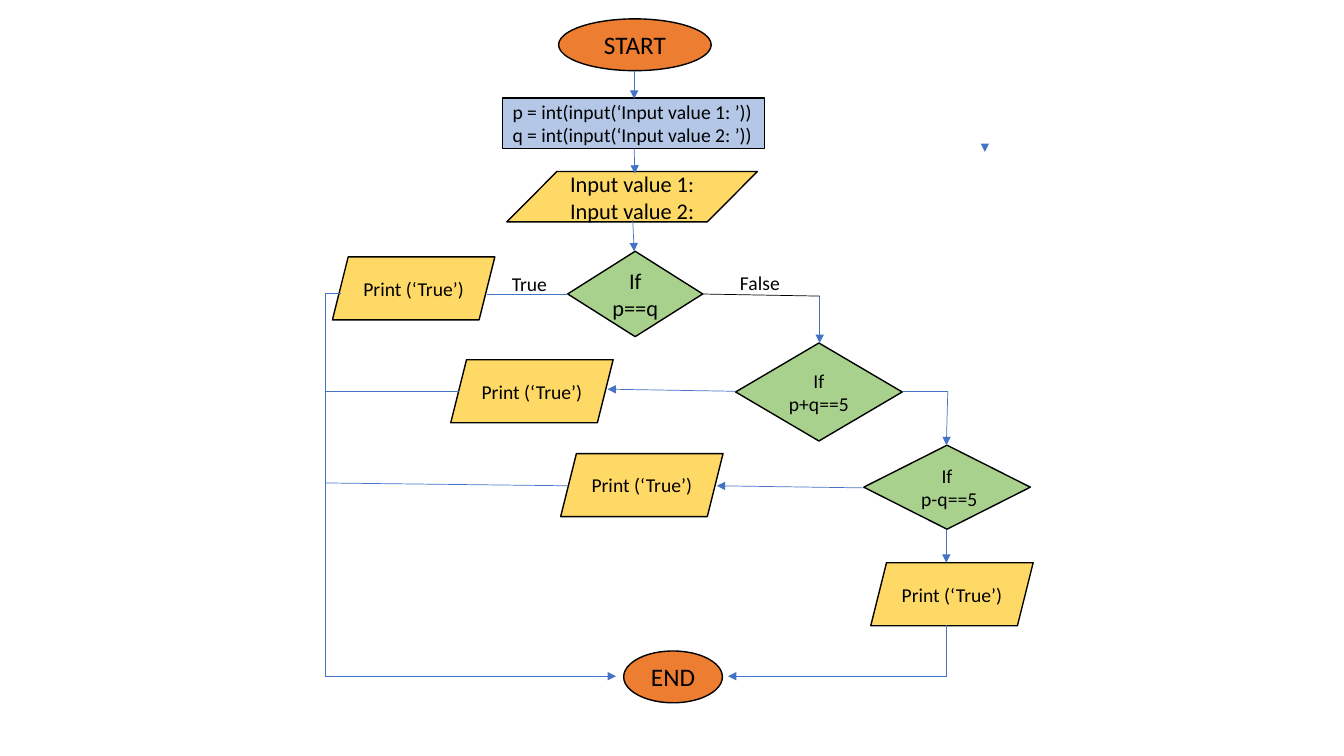
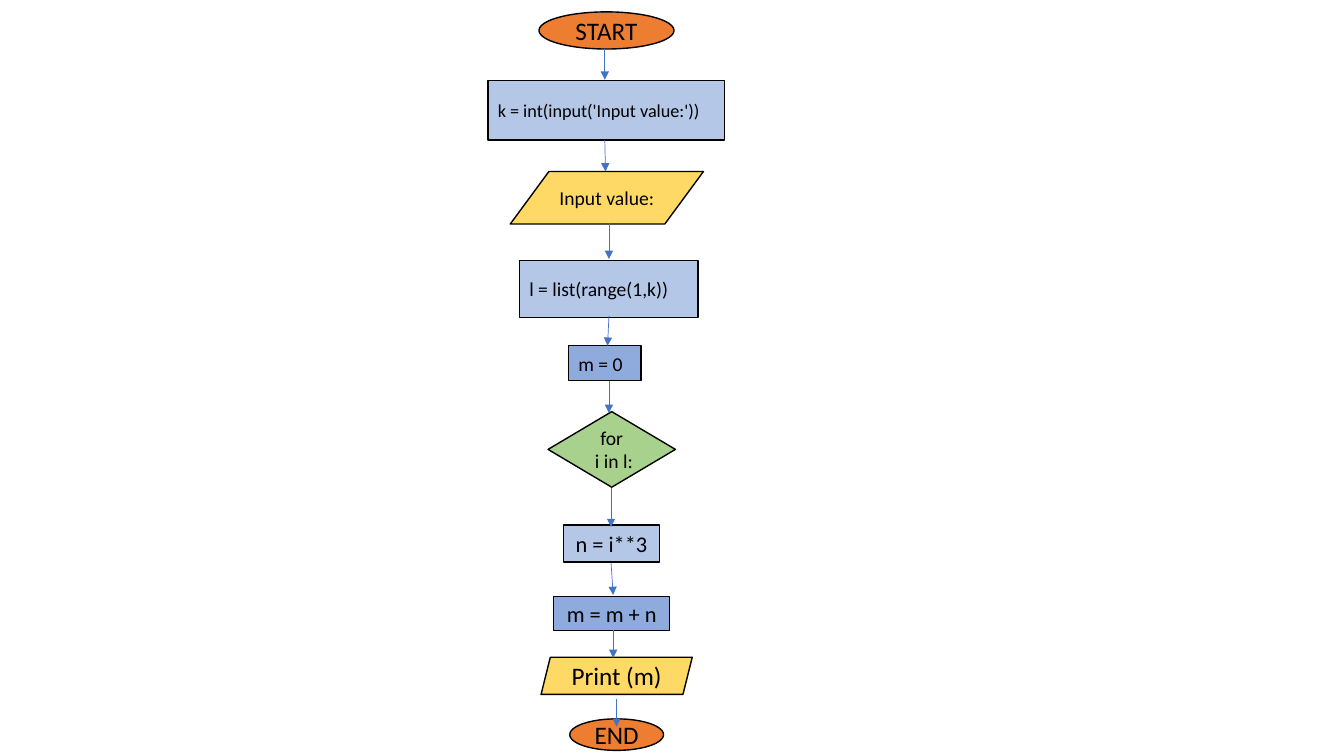
"""Build two flowchart slides for small Python programs."""
import pptx
import pptx.dml.color
import pptx.enum.shapes
import pptx.enum.text
import pptx.oxml.ns
import pptx.oxml.xmlchemy
import pptx.util

Pt = pptx.util.Pt
RGBColor = pptx.dml.color.RGBColor
SHAPE = pptx.enum.shapes.MSO_SHAPE
CONNECTOR = pptx.enum.shapes.MSO_CONNECTOR
ALIGN = pptx.enum.text.PP_ALIGN
ANCHOR = pptx.enum.text.MSO_ANCHOR

FONT = "Calibri"
BLACK = RGBColor(0x00, 0x00, 0x00)
BLUE = RGBColor(0x44, 0x72, 0xC4)
ORANGE = RGBColor(0xED, 0x7D, 0x31)
YELLOW = RGBColor(0xFF, 0xD9, 0x66)
GREEN = RGBColor(0xA9, 0xD1, 0x8E)
PALE_BLUE = RGBColor(0xB4, 0xC7, 0xE7)
MID_BLUE = RGBColor(0x8F, 0xAA, 0xDC)

STYLES = {
    "terminal": (SHAPE.OVAL, ORANGE, ALIGN.CENTER),
    "input": (SHAPE.FLOWCHART_DATA, YELLOW, ALIGN.CENTER),
    "print": (SHAPE.PARALLELOGRAM, YELLOW, ALIGN.CENTER),
    "decision": (SHAPE.DIAMOND, GREEN, ALIGN.CENTER),
    "code": (SHAPE.RECTANGLE, PALE_BLUE, ALIGN.LEFT),
    "sum": (SHAPE.RECTANGLE, MID_BLUE, ALIGN.CENTER),
    "power": (SHAPE.RECTANGLE, PALE_BLUE, ALIGN.CENTER),
    "reset": (SHAPE.RECTANGLE, MID_BLUE, ALIGN.LEFT),
}

PRINT_CORNERS = [(237.5, 183.5), (322, 257), (400.5, 324), (622, 402)]

COMPARISON = {
    "steps": [
        ("code", (359, 70, 187, 36), 14,
         "p = int(input(‘Input value 1: ’))\nq = int(input(‘Input value 2: ’))"),
        ("terminal", (399, 13.5, 109, 37), 18, "START"),
        ("input", (362, 122.5, 179, 36), 16, "Input value 1:\nInput value 2:"),
        ("decision", (405.5, 179.5, 96.5, 61), 16, "If p==q"),
        ("decision", (525.5, 245, 119, 70), 14, "If p+q==5"),
        ("decision", (617, 318, 119, 60), 14, "If\n p-q==5"),
        ("terminal", (445.5, 465, 70.5, 37), 18, "END"),
    ] + [("print", (left, top, 116, 45), 14, "Print (‘True’)")
         for left, top in PRINT_CORNERS],
    "labels": [
        ((521.5, 190, 60.5, 24.5), 14, "False"),
        ((358.5, 191, 44.5, 24.5), 14, "True"),
    ],
    "arrows": [
        (453, 50.5, 453, 70.5),
        (453, 106, 453.5, 124),
        (452, 157, 453, 179.5),
        (585.5, 211.5, 585.5, 245),
        (677, 279.5, 676, 318),
        (703.5, 106, 703.5, 108.5),
        (525.5, 279.5, 434, 278),
        (617, 348.5, 512, 347),
        (676, 378.5, 676, 402),
        (232.5, 483, 440, 483),
    ],
    "lines": [
        (645, 279.5, 677, 279.5, BLUE),
        (501, 210, 585.5, 211.5, BLACK),
        (405.5, 210, 348, 210, BLUE),
        (328, 279.5, 232.5, 279.5, BLUE),
        (406, 347, 232.5, 345, BLUE),
    ],
    "elbows": [
        (520, 483, 676, 446.5, "headEnd"),
        (243.5, 209.5, 232.5, 483, None),
    ],
}

CUBES = {
    "steps": [
        ("code", (348.5, 57.5, 169, 42.5), 13, "k = int(input('Input value:'))"),
        ("terminal", (385, 8.5, 96.5, 26.5), 18, "START"),
        ("input", (364.5, 122.5, 138, 37.5), 14, "Input value:"),
        ("power", (402.5, 375, 68.5, 26.5), 16, "n = i**3"),
        ("code", (371, 186, 127.5, 41), 14, "l = list(range(1,k))"),
        ("reset", (406, 247, 52, 25), 14, "m = 0"),
        ("decision", (391.5, 294, 91, 54), 14, "for\n i in l:"),
        ("sum", (395.5, 426, 83, 24.5), 16, "m = m + n"),
        ("terminal", (407, 513.5, 67, 22.5), 18, "END"),
        ("print", (386.5, 469.5, 108, 26.5), 18, "Print (m)"),
    ],
    "labels": [],
    "arrows": [
        (432, 35, 432, 57),
        (432, 100, 432.5, 122.5),
        (435, 159, 435, 185),
        (435, 225.5, 434, 247),
        (435, 272, 435, 295),
        (436.5, 348.5, 436.5, 376.5),
        (436.5, 402, 438, 425),
        (438, 450, 438, 470),
        (440.5, 499, 440.5, 519),
    ],
    "lines": [],
    "elbows": [],
}


def write_text(shape, text, size, alignment):
    frame = shape.text_frame
    frame.word_wrap = True
    frame.text = text
    for paragraph in frame.paragraphs:
        paragraph.alignment = alignment
        for run in paragraph.runs:
            run.font.name = FONT
            run.font.size = Pt(size)
            run.font.color.rgb = BLACK


def add_step(slide, kind, box, size, text):
    preset, fill, alignment = STYLES[kind]
    shape = slide.shapes.add_shape(preset, *map(Pt, box))
    shape.shadow.inherit = False
    shape.fill.solid()
    shape.fill.fore_color.rgb = fill
    shape.line.color.rgb = BLACK
    shape.line.width = Pt(1)
    shape.text_frame.vertical_anchor = ANCHOR.MIDDLE
    write_text(shape, text, size, alignment)


def add_label(slide, box, size, text):
    label = slide.shapes.add_textbox(*map(Pt, box))
    write_text(label, text, size, ALIGN.LEFT)


def add_link(slide, ends, color=BLUE, arrow_end=None, kind=CONNECTOR.STRAIGHT):
    connector = slide.shapes.add_connector(kind, *map(Pt, ends))
    connector.line.color.rgb = color
    connector.line.width = Pt(0.5)
    properties = connector._element.spPr
    if kind == CONNECTOR.ELBOW:
        properties.find(pptx.oxml.ns.qn("a:prstGeom")).set("prst", "bentConnector2")
    if arrow_end:
        arrowhead = pptx.oxml.xmlchemy.OxmlElement(f"a:{arrow_end}")
        arrowhead.set("type", "triangle")
        properties.find(pptx.oxml.ns.qn("a:ln")).append(arrowhead)
    properties.append(pptx.oxml.xmlchemy.OxmlElement("a:effectLst"))


def add_flowchart(presentation, chart):
    slide = presentation.slides.add_slide(presentation.slide_layouts[6])
    for step in chart["steps"]:
        add_step(slide, *step)
    for label in chart["labels"]:
        add_label(slide, *label)
    for ends in chart["arrows"]:
        add_link(slide, ends, arrow_end="tailEnd")
    for *ends, color in chart["lines"]:
        add_link(slide, ends, color)
    for *ends, arrow_end in chart["elbows"]:
        add_link(slide, ends, arrow_end=arrow_end, kind=CONNECTOR.ELBOW)


def main():
    presentation = pptx.Presentation()
    presentation.slide_width = Pt(960)
    presentation.slide_height = Pt(540)
    for chart in (COMPARISON, CUBES):
        add_flowchart(presentation, chart)
    presentation.save("out.pptx")


if __name__ == "__main__":
    main()
